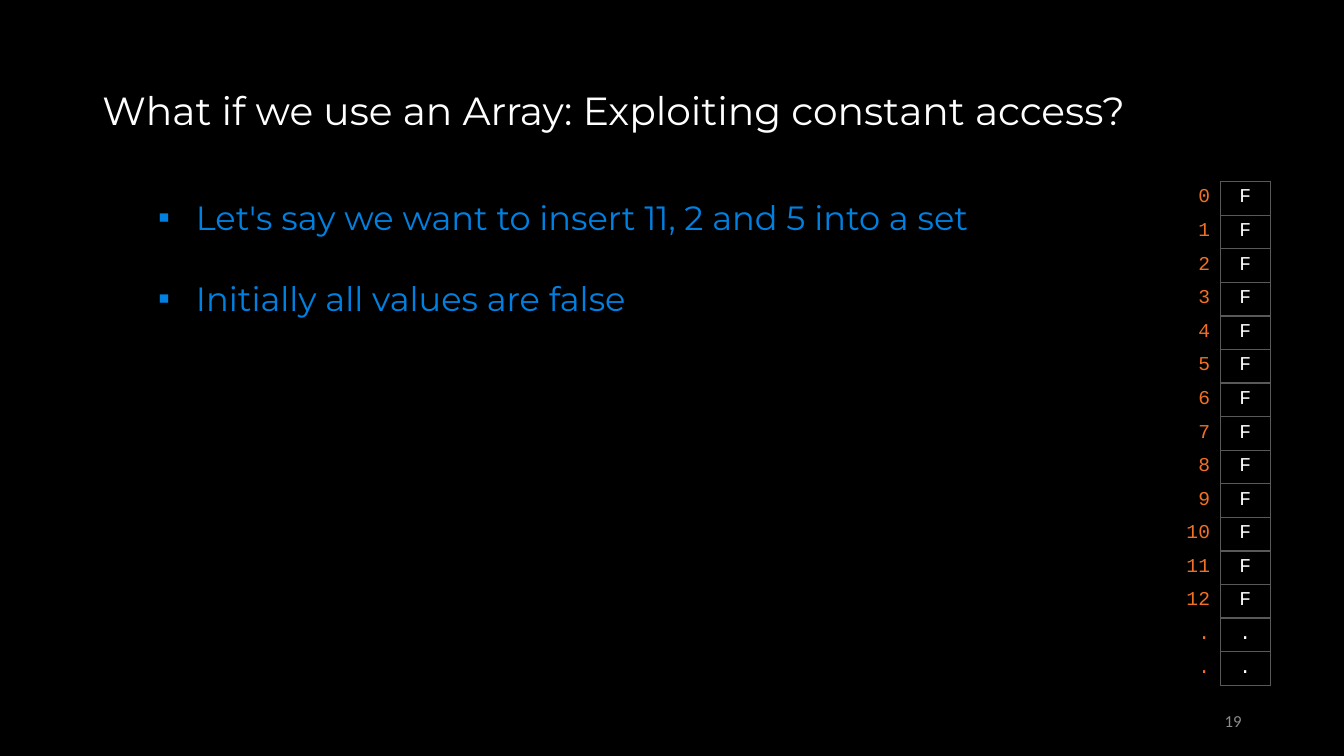
import dataclasses

import pptx
import pptx.dml.color
import pptx.enum.text
import pptx.oxml.ns
import pptx.util
from lxml import etree

PX = 9525
ALIGN = pptx.enum.text.PP_ALIGN
ANCHOR = pptx.enum.text.MSO_ANCHOR
NO_GRID_STYLE = "{2D5ABB26-0587-4C30-8999-92F81FD0307C}"


@dataclasses.dataclass(frozen=True)
class Theme:
    """Colours, fonts and type sizes of the slide."""
    background: str = "000000"
    text: str = "FFFFFF"
    bullet: str = "0081E2"
    index: str = "F26F26"
    border: str = "595959"
    number: str = "8C8C8C"
    main_font: str = "Montserrat"
    code_font: str = "Courier New"
    number_font: str = "Calibri"
    title_size: int = 28
    body_size: int = 24
    code_size: int = 14
    number_size: int = 12


THEME = Theme()


def px(n):
    """Convert pixels to EMU."""
    return pptx.util.Emu(n * PX)


def rgb(value):
    """Return the colour for a hex string."""
    return pptx.dml.color.RGBColor.from_string(value)


def place(sp, left, top, width, height):
    """Set the position and size of a shape in pixels."""
    sp.left, sp.top, sp.width, sp.height = map(px, (left, top, width, height))


def add_run(p, text, font, size, color, align=ALIGN.LEFT):
    """Add one formatted run to an aligned paragraph."""
    p.alignment = align
    r = p.add_run()
    r.text = text
    r.font.name = font
    r.font.size = pptx.util.Pt(size)
    r.font.color.rgb = rgb(color)


def add_child(parent, tag, **attributes):
    """Append a DrawingML element and return it."""
    return etree.SubElement(parent, pptx.oxml.ns.qn(tag), **attributes)


def fill_title(s, text):
    """Write the slide title into its placeholder."""
    sp = s.shapes.title
    place(sp, 88, 35, 1104, 139)
    tf = sp.text_frame
    tf.vertical_anchor = ANCHOR.MIDDLE
    add_run(tf.paragraphs[0], text, THEME.main_font, THEME.title_size, THEME.text)


def fill_bullets(s, items):
    """Write a square-bulleted list into the body placeholder."""
    sp = s.placeholders[1]
    place(sp, 141, 183, 859, 391)
    tf = sp.text_frame
    tf.auto_size = pptx.enum.text.MSO_AUTO_SIZE.NONE
    for i, item in enumerate(items):
        p = tf.add_paragraph() if i else tf.paragraphs[0]
        pPr = p._p.get_or_add_pPr()
        pPr.set("marL", str(px(36)))
        pPr.set("indent", str(px(-36)))
        add_child(pPr, "a:buChar", char="▪")
        p.space_before = pptx.util.Pt(29 if i else 0)
        p.space_after = pptx.util.Pt(0)
        add_run(p, item, THEME.main_font, THEME.body_size, THEME.bullet)


def format_cell(cell, text, color, align, borders):
    """Fill a table cell with text and draw the given borders."""
    tcPr = cell._tc.get_or_add_tcPr()
    for tag in borders:
        ln = add_child(tcPr, tag, w=str(pptx.util.Pt(1)))
        add_child(add_child(ln, "a:solidFill"), "a:srgbClr", val=THEME.border)
    cell.fill.background()
    add_run(cell.text_frame.paragraphs[0], text, THEME.code_font,
            THEME.code_size, color, align)


def add_array(s, rows):
    """Draw an array as a column of bordered cells beside its indices."""
    col, row = 48, 32
    frame = s.shapes.add_table(len(rows), 2, px(1114), px(173),
                               px(2 * col), px(row * len(rows)))
    table = frame.table
    table.first_row = table.horz_banding = False
    table._tbl.tblPr.find(pptx.oxml.ns.qn("a:tableStyleId")).text = NO_GRID_STYLE
    for column in table.columns:
        column.width = px(col)
    for i, (index, value) in enumerate(rows):
        table.rows[i].height = px(row)
        format_cell(table.cell(i, 0), index, THEME.index, ALIGN.RIGHT, ["a:lnR"])
        format_cell(table.cell(i, 1), value, THEME.text, ALIGN.CENTER,
                    ["a:lnL", "a:lnR", "a:lnT", "a:lnB"])


def add_page_number(s, text):
    """Add the page number at the lower right."""
    tf = s.shapes.add_textbox(px(904), px(667), px(288), px(38)).text_frame
    tf.word_wrap = True
    tf.vertical_anchor = ANCHOR.MIDDLE
    add_run(tf.paragraphs[0], text, THEME.number_font, THEME.number_size,
            THEME.number, ALIGN.RIGHT)


def main():
    """Build and save the slide."""
    prs = pptx.Presentation()
    prs.slide_width, prs.slide_height = px(1280), px(720)
    s = prs.slides.add_slide(prs.slide_layouts[1])
    s.background.fill.solid()
    s.background.fill.fore_color.rgb = rgb(THEME.background)
    fill_title(s, "What if we use an Array: Exploiting constant access?")
    fill_bullets(s, ["Let's say we want to insert 11, 2 and 5 into a set",
                     "Initially all values are false"])
    add_array(s, [(str(i), "F") for i in range(13)] + [(".", ".")] * 2)
    add_page_number(s, "19")
    prs.save("out.pptx")


if __name__ == "__main__":
    main()
